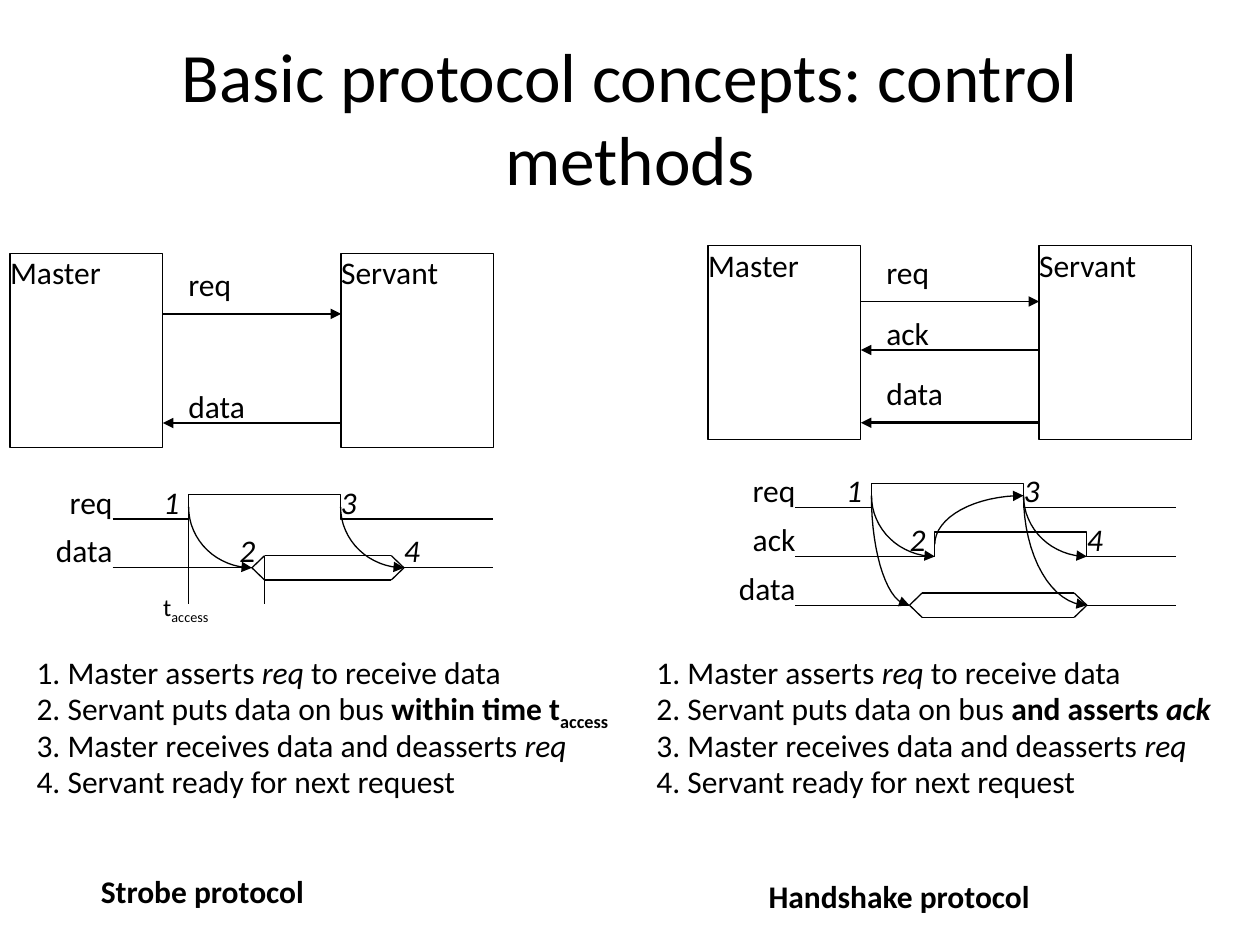
import math
from dataclasses import dataclass

from lxml import etree
from pptx import Presentation, util as u
from pptx.dml.color import RGBColor
from pptx.enum import shapes, text
from pptx.oxml.ns import qn

COLORS = {"ink": "000000", "paper": "FFFFFF"}
FONT = "Calibri"
WIDTH, HEIGHT = 10, 7.5
THIN, THICK = 0.75, 1.5
LEFT, CENTER, RIGHT = text.PP_ALIGN.LEFT, text.PP_ALIGN.CENTER, text.PP_ALIGN.RIGHT


@dataclass
class Grid:
    left: float
    top: float
    width: float
    height: float
    columns: int
    rows: int

    def point(self, column, row):
        return (u.Inches(self.left + column * self.width / self.columns),
                u.Inches(self.top + row * self.height / self.rows))

    def box(self, column, row, columns, rows):
        return (*self.point(column, row),
                u.Inches(columns * self.width / self.columns),
                u.Inches(rows * self.height / self.rows))


def apply_format(target, values):
    for name, value in values.items():
        setattr(target, name, value)


def write(shape, runs, size=18, align=LEFT, anchor=text.MSO_ANCHOR.TOP, margin=0):
    frame = shape.text_frame
    sides = ("left", "top", "right", "bottom")
    apply_format(frame, {"word_wrap": True, "vertical_anchor": anchor,
                         **{f"margin_{side}": u.Inches(margin) for side in sides}})
    paragraph = frame.paragraphs[0]
    paragraph.alignment = align
    for words, style in runs:
        run = paragraph.add_run()
        run.text = words
        apply_format(run.font, {"name": FONT, "size": u.Pt(size),
                                "bold": "b" in style, "italic": "i" in style})
        run.font.color.rgb = RGBColor.from_string(COLORS["ink"])
        if "s" in style:
            run._r.get_or_add_rPr().set("baseline", "-25000")


def add_label(slide, box, words, style="", **layout):
    runs = [(words, style)] if isinstance(words, str) else words
    write(slide.shapes.add_textbox(*box), runs, **layout)


def ink_line(shape, width=THIN, arrow=None):
    shape.line.width = u.Pt(width)
    shape.line.color.rgb = RGBColor.from_string(COLORS["ink"])
    if arrow:
        etree.SubElement(shape.line._get_or_add_ln(), qn(f"a:{arrow}")).set("type", "triangle")


def add_line(slide, start, end, width=THIN, arrow=None):
    line = slide.shapes.add_connector(shapes.MSO_CONNECTOR.STRAIGHT, *start, *end)
    ink_line(line, width, arrow)
    etree.SubElement(line._element.spPr, qn("a:effectLst"))


def add_outline(slide, points, arrow=None):
    builder = slide.shapes.build_freeform(*points[0])
    builder.add_line_segments(points[1:], close=False)
    shape = builder.convert_to_shape()
    shape.fill.background()
    shape.shadow.inherit = False
    ink_line(shape, arrow=arrow)


def add_pulse(slide, grid, rise, fall, high):
    low = high + 2
    corners = [(6, low), (rise, low), (rise, high), (fall, high), (fall, low), (36, low)]
    add_outline(slide, [grid.point(*corner) for corner in corners])


def add_bus(slide, grid, opening, closing, middle):
    ends = [((6, middle), (opening, middle)), ((closing, middle), (36, middle))]
    for edge in (middle - 1, middle + 1):
        inner = (opening + 1, edge), (closing - 1, edge)
        ends += [((opening, middle), inner[0]), inner, (inner[1], (closing, middle))]
    for start, end in ends:
        add_line(slide, grid.point(*start), grid.point(*end))


def add_cause(slide, grid, tail, tip, steps=16):
    angles = [math.pi / 2 * step / steps for step in range(steps + 1)]
    points = [grid.point(tip[0] + (tail[0] - tip[0]) * math.sin(angle),
                         tail[1] + (tip[1] - tail[1]) * math.cos(angle)) for angle in angles]
    add_outline(slide, points, "headEnd")


def add_title(slide, box, words):
    add_label(slide, box, words, size=39.6, align=CENTER,
              anchor=text.MSO_ANCHOR.MIDDLE, margin=0.1)


def add_blocks(slide, left, top, wires):
    grid = Grid(left, top, 3.84, 1.54, 38, 16)
    for column, name in ((0, "Master"), (26, "Servant")):
        block = slide.shapes.add_shape(shapes.MSO_SHAPE.RECTANGLE, *grid.box(column, 0, 12, 16))
        block.fill.solid()
        block.fill.fore_color.rgb = RGBColor.from_string(COLORS["paper"])
        block.shadow.inherit = False
        ink_line(block)
        write(block, [(name, "")])
    for name, label_row, row in wires:
        add_line(slide, grid.point(12, row), grid.point(26, row),
                 THICK if name == "data" else THIN,
                 "tailEnd" if name == "req" else "headEnd")
        add_label(slide, grid.box(14, label_row, 10, 4), name)


def add_timing(slide, left, top, signals, pulses, bus, causes, marks, access):
    grid = Grid(left, top, 3.62, 1.16, 36, 12)
    for index, name in enumerate(signals):
        add_label(slide, grid.box(0, 4 * index, 6, 4), name, align=RIGHT)
    for pulse in pulses:
        add_pulse(slide, grid, *pulse)
    add_bus(slide, grid, *bus)
    for tail, tip in causes:
        add_cause(slide, grid, tail, tip)
    for number, (column, row) in enumerate(marks, 1):
        add_label(slide, grid.box(column, row, 2, 3), str(number), "i")
    if access:
        for column, row in ((12, 3), (18, 6)):
            add_line(slide, grid.point(column, row), grid.point(column, 10))
        add_label(slide, grid.box(10, 9, 10, 4), [("t", ""), ("access", "s")], size=14)


def add_steps(slide, left, top, promise):
    grid = Grid(left, top, 4.62, 1.16, 1, 4)
    steps = [
        [("1. Master asserts ", ""), ("req", "i"), (" to receive data", "")],
        [("2. Servant puts data on bus ", ""), *promise],
        [("3. Master receives data and deasserts ", ""), ("req", "i")],
        [("4. Servant ready for next request", "")],
    ]
    for row, runs in enumerate(steps):
        add_label(slide, grid.box(0, row, 1, 1.3), runs)


def add_protocol(slide, blocks, timing, steps, caption):
    add_blocks(slide, **blocks)
    add_timing(slide, **timing)
    add_steps(slide, **steps)
    box, words = caption
    add_label(slide, [u.Inches(length) for length in box], words, "b")


STROBE = {
    "blocks": {"left": 0.08, "top": 2.01, "wires": [("req", 1, 5), ("data", 11, 14)]},
    "timing": {
        "left": 0.29, "top": 3.83, "signals": ["req", "data"],
        "pulses": [(12, 24, 1)], "bus": (17, 29, 7),
        "causes": [((12, 2), (17, 7)), ((24, 2), (29, 7))],
        "marks": [(10, 0), (16, 4), (24, 0), (29, 4)], "access": True},
    "steps": {"left": 0.29, "top": 5.18,
              "promise": [("within time t", "b"), ("access", "bs")]},
    "caption": ((0.8, 6.92, 2.34, 0.32), "Strobe protocol"),
}
HANDSHAKE = {
    "blocks": {"left": 5.62, "top": 1.95,
               "wires": [("req", 0.6, 4.6), ("ack", 5.6, 8.6), ("data", 10.6, 14.6)]},
    "timing": {
        "left": 5.71, "top": 3.74, "signals": ["req", "ack", "data"],
        "pulses": [(12, 24, 1), (17, 29, 5)], "bus": (15, 29, 11),
        "causes": [((12, 2), (17, 7)), ((24, 2), (29, 7)), ((12, 2), (15, 11)),
                   ((24, 2), (29, 11)), ((17, 6), (24, 2))],
        "marks": [(10, 0), (15, 4), (24, 0), (29, 4)], "access": False},
    "steps": {"left": 5.21, "top": 5.18,
              "promise": [("and asserts ", "b"), ("ack", "bi")]},
    "caption": ((6.1, 6.96, 3, 0.29), "Handshake protocol"),
}


def main():
    presentation = Presentation()
    apply_format(presentation, {"slide_width": u.Inches(WIDTH), "slide_height": u.Inches(HEIGHT)})
    slide = presentation.slides.add_slide(presentation.slide_layouts[6])
    page = Grid(0, 0, WIDTH, HEIGHT, 20, 30)
    add_title(slide, page.box(1, 1.2, 18, 5), "Basic protocol concepts: control methods")
    for protocol in (STROBE, HANDSHAKE):
        add_protocol(slide, **protocol)
    presentation.save("out.pptx")


if __name__ == "__main__":
    main()
